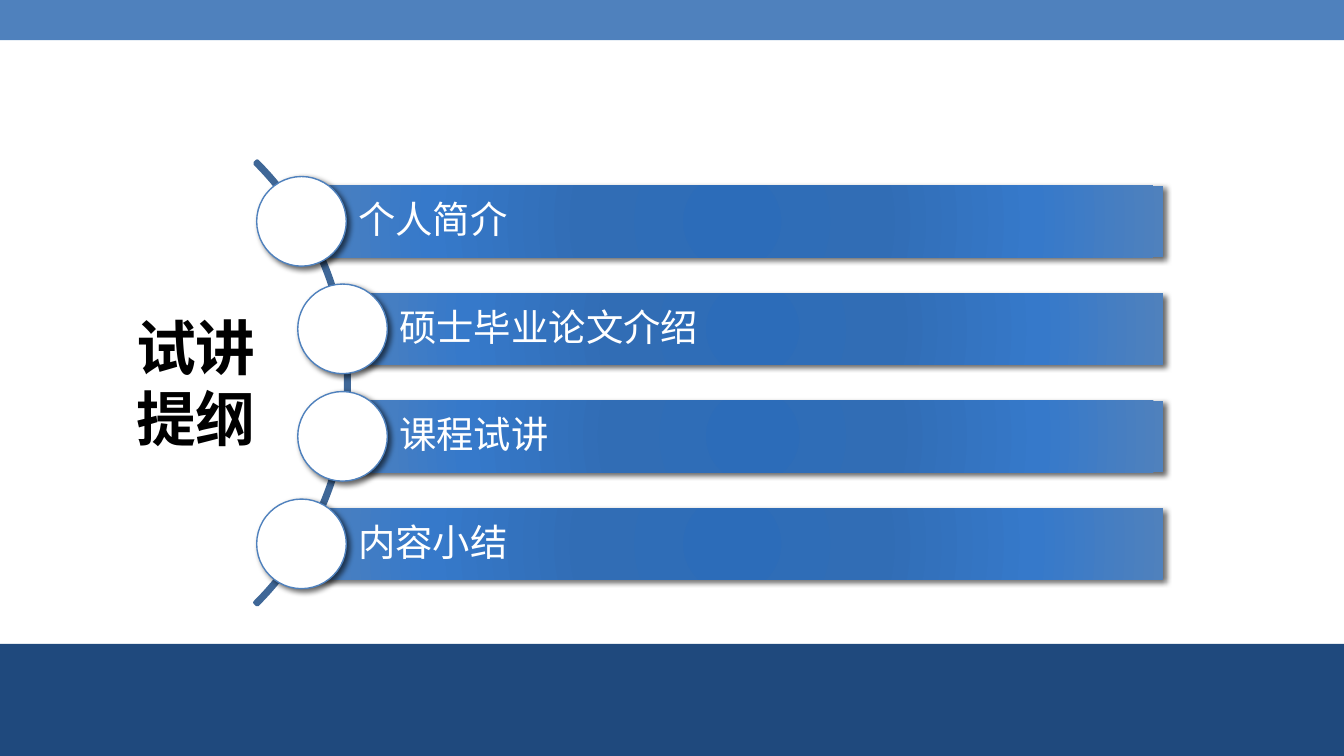
from dataclasses import dataclass

from lxml import etree
from pptx import Presentation
from pptx.dml.color import RGBColor
from pptx.enum import shapes, text
from pptx.oxml import ns, parse_xml
from pptx.util import Pt

FONT = "Noto Sans CJK SC"
KIND = shapes.MSO_SHAPE
STOPS = [(0, "2C6CB9"), (34, "316DB5"), (70, "3679CA"), (100, "4F81BD")]
RIGHT, TOP, STEP = 623, 118.6, 57.6
HIGH, DISC = 38.4, 48


@dataclass
class Item:
    label: str
    mid: float


@dataclass
class Box:
    left: float
    top: float
    width: float
    height: float

    def size(self) -> tuple:
        return Pt(self.left), Pt(self.top), Pt(self.width), Pt(self.height)


ITEMS = [
    Item("个人简介", 161.5),
    Item("硕士毕业论文介绍", 183.5),
    Item("课程试讲", 183.5),
    Item("内容小结", 161.5),
]


def paint(color, code: str) -> None:
    color.rgb = RGBColor.from_string(code)


def draw(slide, kind, box: Box, fill: str = "", line: str = "", width: float = 0):
    shape = slide.shapes.add_shape(kind, *box.size())
    shape.shadow.inherit = False
    if fill:
        shape.fill.solid()
        paint(shape.fill.fore_color, fill)
    else:
        shape.fill.background()
    if line:
        paint(shape.line.color, line)
        shape.line.width = Pt(width)
    else:
        shape.line.fill.background()
    return shape


def write(frame, words: str, size: float, color: str, bold: bool = False,
          align=text.PP_ALIGN.LEFT, space: float = 1.0) -> None:
    frame.text = words
    for para in frame.paragraphs:
        para.alignment = align
        para.line_spacing = space
        for run in para.runs:
            font = run.font
            font.size, font.bold, font.name = Pt(size), bold, FONT
            paint(font.color, color)
            east = etree.SubElement(run._r.get_or_add_rPr(), ns.qn("a:ea"))
            east.set("typeface", FONT)


def shade(shape) -> None:
    props = shape._element.spPr
    props.remove(props.find(ns.qn("a:effectLst")))
    props.append(parse_xml(
        f'<a:effectLst {ns.nsdecls("a")}>'
        '<a:outerShdw blurRad="38100" dist="25400" dir="2700000" algn="tl" rotWithShape="0">'
        '<a:srgbClr val="000000"><a:alpha val="60000"/></a:srgbClr>'
        '</a:outerShdw></a:effectLst>'))


def blend(shape) -> None:
    props = shape._element.spPr
    stops = "".join(f'<a:gs pos="{pos * 1000}"><a:srgbClr val="{code}"/></a:gs>'
                    for pos, code in STOPS)
    grad = parse_xml(
        f'<a:gradFill {ns.nsdecls("a")} rotWithShape="1"><a:gsLst>{stops}</a:gsLst>'
        '<a:path path="circle"><a:fillToRect l="100000" t="100000" r="100000" b="100000"/>'
        '</a:path></a:gradFill>')
    props.replace(props.find(ns.qn("a:noFill")), grad)


def entry(slide, item: Item, mid: float) -> None:
    bar = draw(slide, KIND.RECTANGLE,
               Box(item.mid, mid - HIGH / 2, RIGHT - item.mid, HIGH))
    blend(bar)
    shade(bar)
    frame = bar.text_frame
    frame.word_wrap = True
    frame.vertical_anchor = text.MSO_ANCHOR.MIDDLE
    frame.margin_left = Pt(30.4)
    frame.margin_top = frame.margin_right = frame.margin_bottom = Pt(4)
    write(frame, item.label, 20, "FFFFFF", space=0.9)
    disc = draw(slide, KIND.OVAL,
                Box(item.mid - DISC / 2, mid - DISC / 2, DISC, DISC),
                "FFFFFF", "4F81BD", 0.75)
    shade(disc)


def head(slide) -> None:
    title = slide.shapes.title
    title.left, title.top, title.width, title.height = Box(65.5, 162.7, 79, 85).size()
    frame = title.text_frame
    frame.word_wrap = False
    frame.auto_size = text.MSO_AUTO_SIZE.SHAPE_TO_FIT_TEXT
    frame.vertical_anchor = text.MSO_ANCHOR.TOP
    write(frame, "试讲\n提纲", 32, "000000", bold=True, align=text.PP_ALIGN.CENTER)


def main() -> None:
    deck = Presentation()
    deck.slide_width, deck.slide_height = Pt(720), Pt(405)
    slide = deck.slides.add_slide(deck.slide_layouts[5])
    draw(slide, KIND.RECTANGLE, Box(0, 0, 720, 21.6), "4F81BD")
    draw(slide, KIND.RECTANGLE, Box(0, 345, 720, 60), "1F497D")
    arc = draw(slide, KIND.BLOCK_ARC, Box(-149, 37.2, 336, 336),
               line="3F6797", width=2.08)
    for index, value in enumerate((189, 27, 0.005)):
        arc.adjustments[index] = value
    for row, item in enumerate(ITEMS):
        entry(slide, item, TOP + row * STEP)
    head(slide)
    deck.save("out.pptx")


if __name__ == "__main__":
    main()
